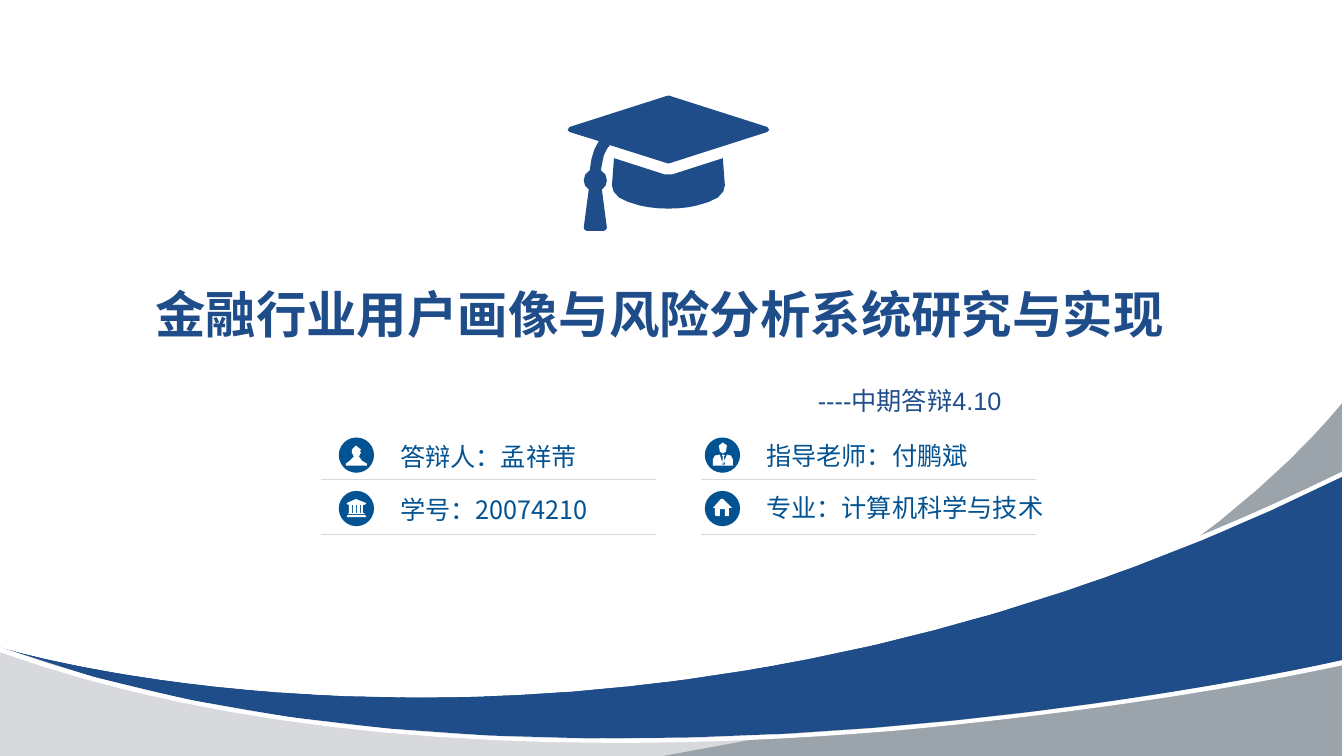
from math import dist, sqrt
from pptx import Presentation
from pptx.dml.color import RGBColor
from pptx.enum.shapes import MSO_CONNECTOR, MSO_SHAPE
from pptx.enum.text import MSO_ANCHOR, MSO_AUTO_SIZE, PP_ALIGN
from pptx.util import Pt
from lxml.etree import SubElement
from pptx.oxml.ns import qn

PX = 9144  # one px is a hundredth of an inch
NAVY, BLUE, WHITE = "1E4D8A", "035392", "FFFFFF"
GREY, PALE, RULE = "9BA4AB", "D8D9DD", "D9D9D9"
SANS, BOLD = "Noto Sans CJK SC", "Noto Sans CJK JP"

# Outlines, relative to the box of their region
CAP = """M200 34 C200 35 200 36 198 36 L101 67 L99 67 L42 49 C40 51 38 54 36 59
C35 63 34 68 33 74 C37 76 39 80 39 84 C39 88 37 91 34 93 L39 131 L38 133 L36 134
L19 134 L17 133 L16 131 L21 93 C18 91 16 88 16 84 C16 80 18 76 22 74
C23 62 26 52 31 45 L2 36 C0 36 0 35 0 34 C0 32 0 31 2 31 L99 0 L101 0 L198 31
C200 31 200 32 200 34
M154 62 L156 89 C156 93 154 97 149 101 C144 104 137 107 128 109 C120 111 110 112 100 112
C90 112 81 111 72 109 C63 107 56 104 51 101 C46 97 44 93 44 89 L46 62 L96 78
L100 78 L104 78 L154 62"""
PERSON = """M23 23 C20 22 20 21 20 19 L21 17 L22 15 L21 14 L22 12
C22 11 21 8 17 8 C13 8 13 11 13 12 L13 15 L14 17 L15 19 C15 21 14 22 11 23
C9 24 7 25 7 26 L7 28 L28 28 L28 26 C28 25 26 24 23 23"""
BANK = """M27 12 L27 13 L25 14 L10 14 L8 13 L8 12 L17 8 L27 12
M27 25 L27 26 L8 26 L8 25 L9 24 L26 24 L27 25
M13 14 L13 22 L14 22 L14 14 L17 14 L17 22 L18 22 L18 14 L21 14 L21 22 L22 22 L22 14
L24 14 L24 22 L25 22 L26 23 L9 23 L10 22 L10 14 L13 14"""
HOME = """M27 17 L18 8 L16 8 L8 17 L10 17 L10 24 L11 25 L15 25 L15 18 L20 18 L20 25
L24 25 L24 17 L27 17"""
TUTOR = """M8 22 C8 20 9 19 10 18 L15 17 L18 27 L22 17 L26 18 C27 19 28 20 28 22
L28 28 L8 28 L8 22
M18 16 C17 16 16 15 15 14 C14 12 13 10 14 8 C15 6 16 5 18 5 C20 5 22 6 22 8
C23 10 22 12 21 14 C20 15 19 16 18 16
M17 18 L18 17 L19 17 L20 18 L19 19 L20 27 L17 27 L18 19 L17 18"""
WAVES = [
    ("M1331 350 L1331 255 C1331 255 535 438 0 242 L0 350 L1331 350", PALE),
    ("M1331 0 C1331 0 1114 284 658 350 L1331 350 L1331 0", GREY),
    ("M0 242 C0 242 609 431 1331 73 L1331 255 C1331 255 535 438 0 242", NAVY),
    ("""M611 337 C698 337 791 333 886 325 C962 318 1039 309 1116 298
     C1235 281 1317 263 1331 260 L1331 255 C1331 255 994 333 611 333
     C405 333 187 310 0 242 L0 247 C165 306 370 337 611 337""", WHITE),
    ("""M1331 73 L1331 68 L1327 70 C1243 111 1157 147 1070 177 C991 204 910 227 829 244
     C692 273 553 288 415 288 C357 288 300 285 244 280 C199 276 156 270 114 263
     C44 251 3 238 3 238 L0 242 C0 242 161 292 415 292 C655 292 980 247 1331 73""", WHITE),
]


def tint(code):
    return RGBColor.from_string(code)


def paint(shape, code):
    shape.shadow.inherit = False
    shape.fill.solid()
    shape.fill.fore_color.rgb = tint(code)
    shape.line.fill.background()


def trace(path):
    """Turn each outline into points; longer curves get more of them."""
    loops = []
    for part in path.replace("M", "|M").replace("L", "|L").replace("C", "|C").split("|")[1:]:
        nums = [int(n) for n in part[1:].split()]
        pts = list(zip(nums[::2], nums[1::2]))
        if part[0] == "M":
            loops.append(pts)
        elif part[0] == "L":
            loops[-1] += pts
        else:
            ctrl = [loops[-1][-1]] + pts
            steps = max(1, round(sqrt(dist(ctrl[0], ctrl[3])) / 2))
            for i in range(1, steps + 1):
                t = i / steps
                mix = ((1 - t) ** 3, 3 * t * (1 - t) ** 2, 3 * t * t * (1 - t), t ** 3)
                loops[-1].append(tuple(sum(m * p[k] for m, p in zip(mix, ctrl)) for k in (0, 1)))
    return loops


def draw(slide, x, y, path, code):
    loops = [[(round((x + a) * PX), round((y + b) * PX)) for a, b in loop]
             for loop in trace(path)]
    pen = slide.shapes.build_freeform(*loops[0][0], scale=1.0)
    for i, loop in enumerate(loops):
        if i:
            pen.move_to(*loop[0])
        pen.add_line_segments(loop[1:], close=False)
    paint(pen.convert_to_shape(), code)


def write(shape, text, size=18, font=SANS, east=SANS, code=BLUE, bold=False,
          align=PP_ALIGN.LEFT, wrap=False, space=1.0):
    frame = shape.text_frame
    frame.word_wrap = wrap
    frame.auto_size = MSO_AUTO_SIZE.NONE
    frame.vertical_anchor = MSO_ANCHOR.MIDDLE
    para = frame.paragraphs[0]
    para.alignment, para.line_spacing = align, space
    run = para.add_run()
    run.text = text
    face = run.font
    face.size, face.bold, face.name = Pt(size), bold, font
    face.color.rgb = tint(code)
    SubElement(face._element, qn("a:ea")).set("typeface", east)


def label(slide, x, y, w, h, text, **form):
    write(slide.shapes.add_textbox(x * PX, y * PX, w * PX, h * PX), text, **form)


def heading(slide, x, y, w, h):
    title = slide.shapes.title
    title.left, title.top, title.width, title.height = (n * PX for n in (x, y, w, h))
    write(title, "金融行业用户画像与风险分析系统研究与实现",
          size=36, font=BOLD, east=BOLD, code=NAVY, bold=True)
    label(slide, x + 165, y + 96, 694, 46, "----中期答辩4.10", font="Arial",
          code=NAVY, align=PP_ALIGN.RIGHT, wrap=True, space=1.2)


def field(slide, x, y, w, gap, wide, text, drop, icon, rule):
    """A badge with its label, above a thin rule."""
    disc = slide.shapes.add_shape(MSO_SHAPE.OVAL, (x + gap) * PX, y * PX, 35 * PX, 35 * PX)
    paint(disc, BLUE)
    draw(slide, x + gap, y, icon, WHITE)
    label(slide, x + gap + 51, y + drop, wide, 40, text)
    line = slide.shapes.add_connector(MSO_CONNECTOR.STRAIGHT, x * PX, rule * PX,
                                      (x + w) * PX, rule * PX)
    line.line.color.rgb = tint(RULE)
    line.line.width = Pt(0.5)
    SubElement(line._element.spPr, qn("a:effectLst"))


def details(slide, x, y):
    fields = [
        (0, 0, 195, "答辩人：孟祥芾", -1, PERSON),
        (0, 1, 220, "学号：20074210", -2, BANK),
        (1, 0, 220, "指导老师：付鹏斌", -2, TUTOR),
        (1, 1, 295, "专业：计算机科学与技术", -4, HOME),
    ]
    for col, row, wide, text, drop, icon in fields:
        field(slide, x + 377 * col, y + 53 * row, 333, 18 - 14 * col, wide,
              text, drop, icon, y + 42 + 54 * row)


def waves(slide, x, y):
    for path, code in WAVES:
        draw(slide, x, y, path, code)


def main():
    deck = Presentation()
    deck.slide_width, deck.slide_height = 1333 * PX, 750 * PX
    slide = deck.slides.add_slide(deck.slide_layouts[5])
    heading(slide, 144, 275, 1038, 71)
    draw(slide, 563, 95, CAP, NAVY)
    details(slide, 318, 434)
    waves(slide, 0, 400)
    deck.save("out.pptx")


if __name__ == "__main__":
    main()
